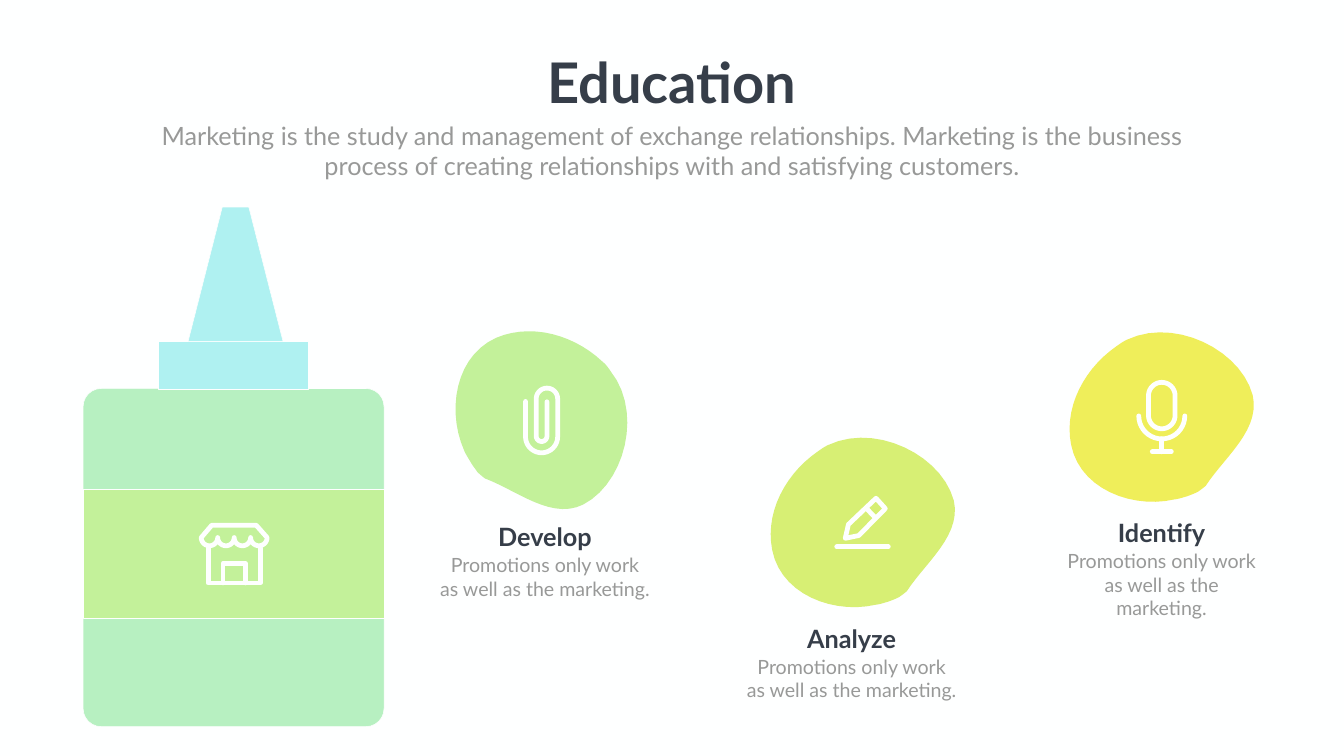
from math import cos, radians, sin

from lxml import etree
from pptx import Presentation
from pptx.dml.color import RGBColor
from pptx.enum.shapes import MSO_CONNECTOR, MSO_SHAPE
from pptx.enum.text import MSO_ANCHOR, MSO_AUTO_SIZE, PP_ALIGN
from pptx.oxml.ns import qn
from pptx.util import Cm, Pt

STRAIGHT = MSO_CONNECTOR.STRAIGHT
RECT = MSO_SHAPE.RECTANGLE
ROUND = MSO_SHAPE.ROUNDED_RECTANGLE
TRAP = MSO_SHAPE.TRAPEZOID
CENTER = PP_ALIGN.CENTER
TOP = MSO_ANCHOR.TOP
FIXED = MSO_AUTO_SIZE.NONE

COLORS = {
    "white": "FEFFFF", "mint": "B7F0C1", "aqua": "AFF1F1", "green": "C3F19A",
    "lime": "D7EF74", "yellow": "EFEE5A", "dark": "363E49", "gray": "989998",
}

DROP = [
    (1.55, 7.52), (1.45, 7.37), (1.32, 7.21), (1.22, 7.04),
    (1.12, 6.86), (0.99, 6.68), (0.89, 6.45), (0, 4.45), (0.43, 1.68), (2.51, 0.76),
    (4.32, 0), (6.45, 0.64), (7.85, 1.96), (8, 2.08), (8.13, 2.24), (8.26, 2.44),
    (9.91, 4.5), (8.99, 8.08), (6.88, 9.17), (5.28, 9.96), (3.56, 8.46), (1.93, 7.85),
    (1.8, 7.75), (1.68, 7.65), (1.55, 7.52),
]
PEBBLE = [
    (6.76, 8.81), (6.6, 8.89), (6.4, 8.97), (6.2, 9.04),
    (6.02, 9.09), (5.79, 9.17), (5.59, 9.19), (3.45, 9.68), (0.81, 8.66), (0.38, 6.43),
    (0, 4.52), (1.07, 2.57), (2.67, 1.47), (2.84, 1.35), (3.02, 1.22), (3.2, 1.14),
    (5.59, 0), (8.92, 1.65), (9.53, 3.94), (9.93, 5.69), (8.1, 7.06), (7.16, 8.51),
    (7.04, 8.61), (6.91, 8.71), (6.76, 8.81),
]


def arc(x, y, r, start, end, steps=20):
    turns = [radians(start + (end - start) * i / steps) for i in range(steps + 1)]
    return [(x + r * cos(t), y + r * sin(t)) for t in turns]


def curve(knots, steps=14):
    points = [knots[0]]
    for i in range(0, len(knots) - 1, 3):
        a, b, c, d = knots[i:i + 4]
        for t in (n / steps for n in range(1, steps + 1)):
            u = 1 - t
            points.append(tuple(
                u ** 3 * a[k] + 3 * u * u * t * b[k] + 3 * u * t * t * c[k] + t ** 3 * d[k]
                for k in (0, 1)))
    return points


SCALLOPS = [p for i in (3, 2, 1, 0) for p in arc(0.13 + 0.415 * (2 * i + 1), 0.75, 0.415, 0, 180)]
ICONS = {
    "store": [
        ([(0.13, 0.75), (0.66, 0.13), (2.9, 0.13), *SCALLOPS], True),
        ([(0.48, 1.27), (0.48, 3.04), (3.1, 3.04), (3.1, 1.27)], False),
        ([(1.23, 3.04), (1.23, 2.05), (2.35, 2.05), (2.35, 3.04)], False),
    ],
    "clip": [
        ([(0.12, 0.79), *arc(0.93, 2.57, 0.81, 180, 0), *arc(1.2, 0.66, 0.54, 0, -180),
          *arc(0.93, 2.54, 0.27, 180, 0), (1.2, 0.81)], False),
    ],
    "pen": [
        ([(2.11, 0.14), (2.58, 0.66), (1.24, 2.02), (0.56, 2.16), (0.72, 1.46)], True),
        ([(1.68, 0.71), (2.04, 1.08)], False),
        ([(0.13, 2.59), (2.73, 2.59)], False),
    ],
    "mic": [
        ([*arc(1.27, 0.78, 0.67, 180, 360), *arc(1.27, 1.78, 0.67, 0, 180)], True),
        (arc(1.27, 1.8, 1.16, 0, 180), False),
        ([(1.27, 2.96), (1.27, 3.61)], False),
        ([(0.79, 3.61), (1.75, 3.61)], False),
    ],
}


def color(name):
    return RGBColor.from_string(COLORS[name])


def paint(shape, fill):
    shape.shadow.inherit = False
    shape.fill.solid()
    shape.fill.fore_color.rgb = color(fill)


def outline(slide, left, top, points, close):
    spots = [(Cm(left + x), Cm(top + y)) for x, y in points]
    path = slide.shapes.build_freeform(*spots[0])
    path.add_line_segments(spots[1:], close=close)
    return path.convert_to_shape()


def icon(slide, left, top, name):
    for points, close in ICONS[name]:
        if len(points) == 2:
            ends = [Cm(v) for x, y in points for v in (left + x, top + y)]
            shape = slide.shapes.add_connector(STRAIGHT, *ends)
        else:
            shape = outline(slide, left, top, points, close)
            shape.fill.background()
        shape.line.color.rgb = color("white")
        shape.line.width = Pt(6.8)
        edge = shape.line._get_or_add_ln()
        edge.set("cap", "rnd")
        etree.SubElement(edge, qn("a:round"))
        if len(points) == 2:
            etree.SubElement(shape._element.spPr, qn("a:effectLst"))
        else:
            shape.shadow.inherit = False


def write(shape, box, text, size, ink, bold=False):
    shape.left, shape.top, shape.width, shape.height = (Cm(v) for v in box)
    frame = shape.text_frame
    frame.text = text
    frame.word_wrap = True
    frame.auto_size = FIXED
    frame.vertical_anchor = TOP
    for para in frame.paragraphs:
        para.alignment = CENTER
        para.line_spacing = 1.0
        para.space_before = Pt(0)
        for run in para.runs:
            run.font.name = "Lato"
            run.font.size = Pt(size)
            run.font.bold = bold
            run.font.color.rgb = color(ink)


def label(slide, box, *style):
    write(slide.shapes.add_textbox(0, 0, 0, 0), box, *style)


def header(slide, left, top, width):
    write(slide.shapes.title, (left, top, width, 3.68), "Education", 80, "dark", True)
    write(slide.placeholders[1], (left, top + 3.63, width, 3.33),
          "Marketing is the study and management of exchange relationships. Marketing is "
          "the business process of creating relationships with and satisfying customers.",
          36, "gray")


def bottle(slide, left, top, width):
    parts = [
        (ROUND, 9.14, width, 17.04, "mint", 0.06),
        (RECT, 6.76, 7.54, 2.41, "aqua", None),
        (TRAP, 0, 4.78, 6.76, "aqua", 0.36),
        (RECT, 14.22, width, 6.5, "green", None),
    ]
    for kind, drop, wide, high, fill, bend in parts:
        shift = 0.1 if kind == TRAP else 0
        shape = slide.shapes.add_shape(
            kind, Cm(left + (width - wide) / 2 + shift), Cm(top + drop), Cm(wide), Cm(high))
        paint(shape, fill)
        shape.line.color.rgb = color("white")
        shape.line.width = Pt(0.75)
        if bend:
            shape.adjustments[0] = bend
    icon(slide, left + 5.82, top + 15.9, "store")


def item(slide, left, top, blob, fill, sign, spot, mid, drop, wide, name):
    shape = outline(slide, left, top, curve(blob), True)
    paint(shape, fill)
    shape.line.fill.background()
    icon(slide, left + spot[0], top + spot[1], sign)
    label(slide, (left + mid - 3.32, top + drop, 6.64, 1.8), name, 36, "dark", True)
    label(slide, (left + mid - wide / 2, top + drop + 1.6, wide, 2.64),
          "Promotions only work\nas well as the marketing.", 28, "gray")


def main():
    deck = Presentation()
    deck.slide_width, deck.slide_height = Cm(67.72), Cm(38.1)
    slide = deck.slides.add_slide(deck.slide_layouts[0])
    slide.background.fill.solid()
    slide.background.fill.fore_color.rgb = color("white")
    bottle(slide, 4.19, 10.44, 15.16)
    item(slide, 22.5, 16.26, DROP, "green", "clip", (3.86, 3.18), 4.96, 9.9, 11.2, "Develop")
    item(slide, 38.53, 21.29, PEBBLE, "lime", "pen", (3.5, 3.68), 4.38, 9.98, 11.2, "Analyze")
    item(slide, 53.59, 15.98, PEBBLE, "yellow", "mic", (3.68, 3.18), 4.94, 9.98, 11, "Identify")
    header(slide, 6.81, 2.29, 54.1)
    deck.save("out.pptx")


if __name__ == "__main__":
    main()
